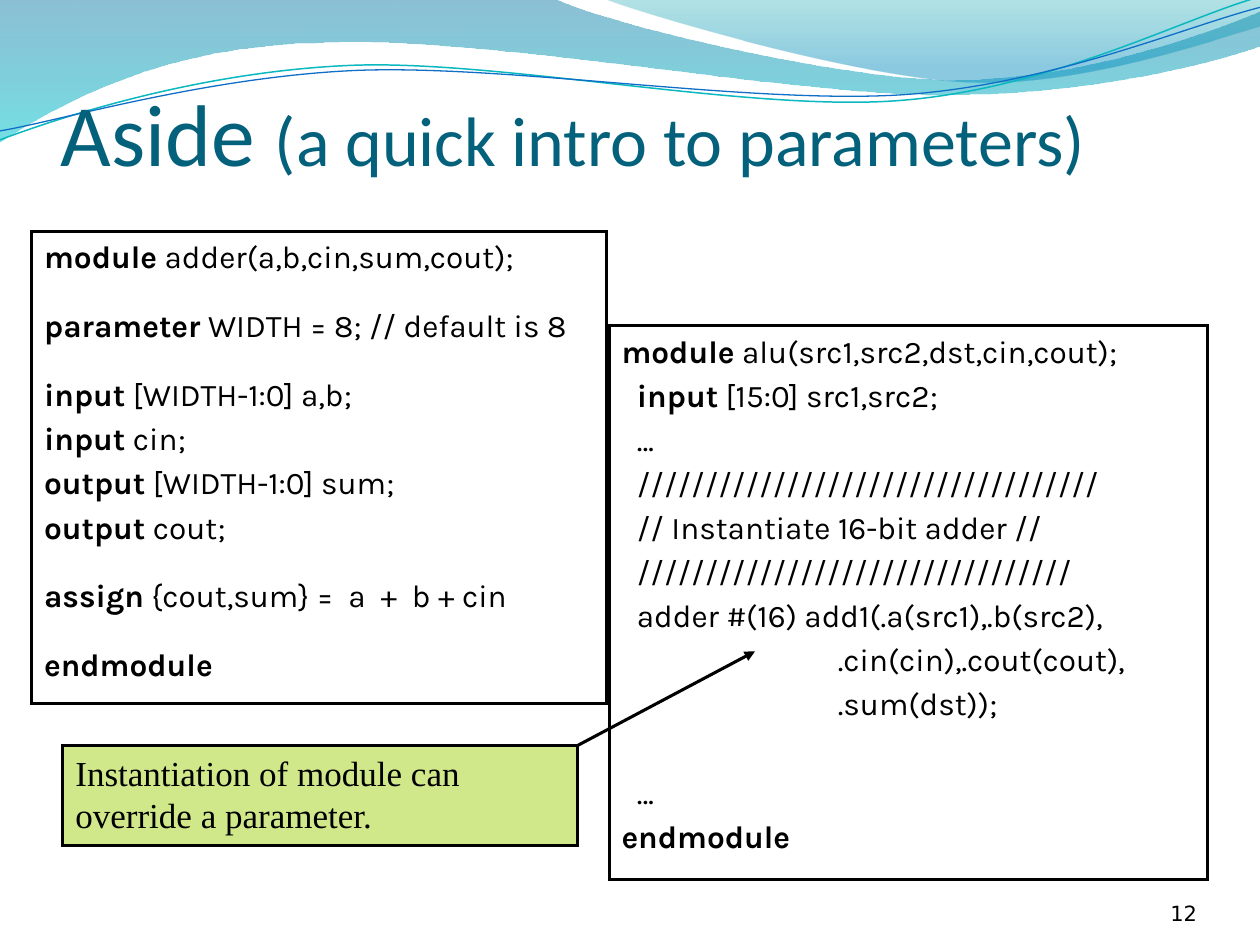
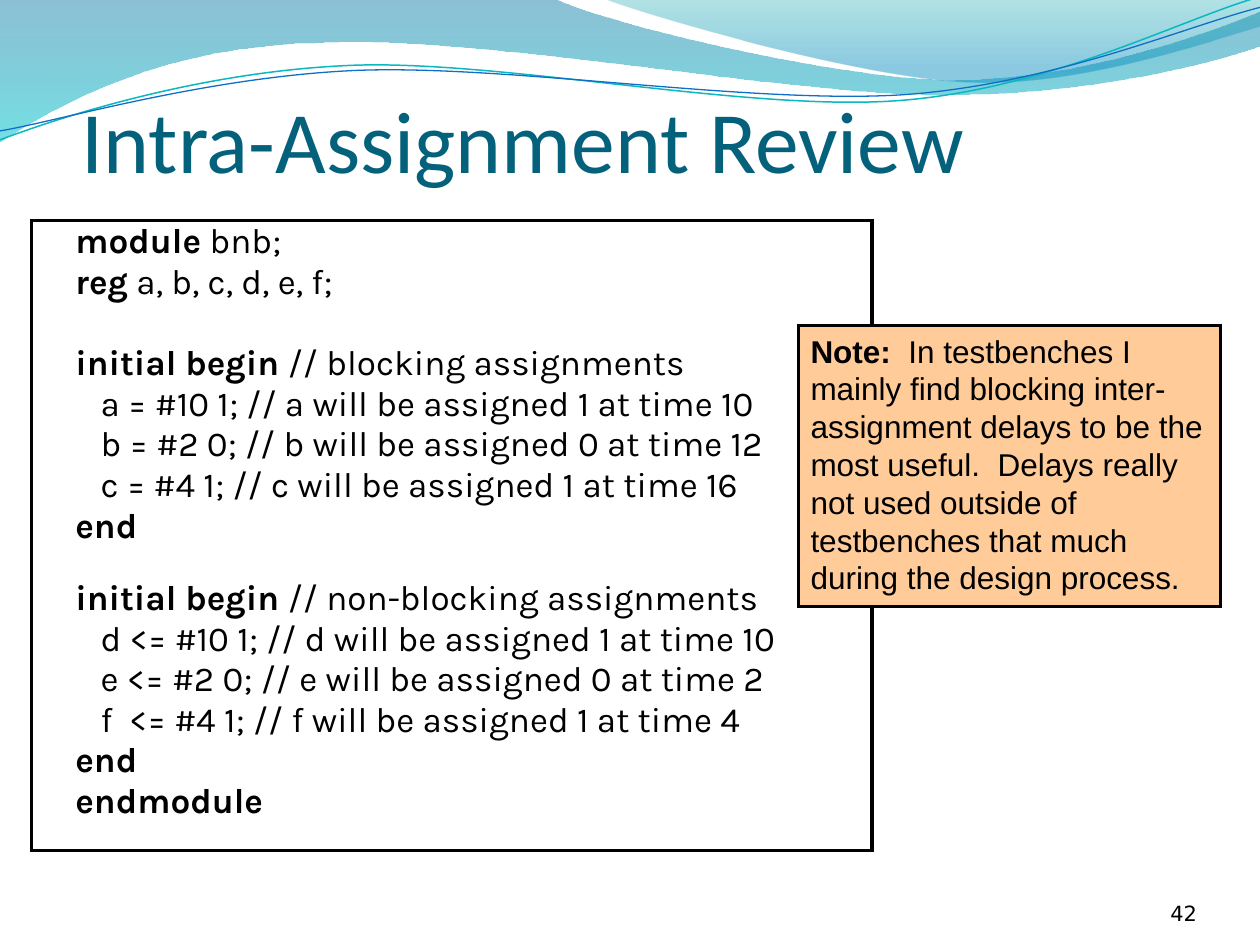
from dataclasses import dataclass

from lxml import etree
from pptx import Presentation
from pptx.dml.color import RGBColor
from pptx.enum.shapes import MSO_CONNECTOR, MSO_SHAPE
from pptx.enum.text import MSO_ANCHOR, PP_ALIGN
from pptx.oxml.ns import qn
from pptx.util import Cm, Pt

RECT, STRAIGHT = MSO_SHAPE.RECTANGLE, MSO_CONNECTOR.STRAIGHT
TOP, BOTTOM = MSO_ANCHOR.TOP, MSO_ANCHOR.BOTTOM
LEFT, RIGHT = PP_ALIGN.LEFT, PP_ALIGN.RIGHT

BLACK = RGBColor(0x00, 0x00, 0x00)
NAVY = RGBColor(0x04, 0x61, 0x7B)
LIME = RGBColor(0x99, 0xCC, 0x00)
PEACH = RGBColor(0xFF, 0xCC, 0x99)
TEAL = RGBColor(0x0A, 0xB8, 0xBF)
BLUE = RGBColor(0x0F, 0x6F, 0xC6)
DEEP = RGBColor(0x00, 0x74, 0xA1)
AQUA = RGBColor(0x00, 0xC6, 0xCF)
SEA = RGBColor(0x00, 0xA1, 0xA9)
SKY = RGBColor(0x00, 0x8B, 0xBF)

CODE = "Karla"
EDGE = 1.75  # border width in points


@dataclass
class Box:
    """A place on the slide, in centimetres."""
    x: float
    y: float
    w: float
    h: float

    def emu(self) -> tuple:
        return Cm(self.x), Cm(self.y), Cm(self.w), Cm(self.h)


@dataclass
class Row:
    """A paragraph: *...* is bold, indent in cm, gap in extra points above."""
    text: str
    indent: float = 0
    gap: float = 0


@dataclass
class Stop:
    color: RGBColor
    place: float
    alpha: int


@dataclass
class Wave:
    """An outline in cm: a leg of one point is straight, of three a curve."""
    start: tuple
    legs: list
    stops: tuple = ()
    color: RGBColor = BLACK
    width: float = 0


WAVES = [
    Wave((0, -0.03), [
        [(11.18, -0.03)],
        [(12.09, 0.43), (16.87, 1.6), (19.25, 1.6)],
        [(21.79, 1.6), (24.33, 0.66), (25.4, 0.23)],
        [(25.43, 0.91)],
        [(24.97, 1.12), (22.1, 1.93), (18.95, 1.91)],
        [(15.8, 1.91), (9.7, 0.71), (6.53, 0.86)],
        [(3.28, 0.89), (1.17, 2.11), (-0.03, 2.87)],
        [(0, -0.03)],
    ], stops=(Stop(DEEP, 0, 45), Stop(AQUA, 1, 55))),
    Wave((12.17, -0.03), [
        [(12.93, 0.28), (17.32, 1.57), (19.53, 1.65)],
        [(21.74, 1.75), (24.41, 0.81), (25.4, 0.53)],
        [(25.4, 0)],
        [(12.17, -0.03)],
    ], stops=(Stop(SEA, 0, 30), Stop(SKY, 0.8, 45))),
    Wave((0, 2.82), [
        [(1.22, 2.36), (4.01, 1.45), (7.04, 1.32)],
        [(10.03, 1.19), (15.06, 2.26), (18.11, 2.03)],
        [(21.16, 1.8), (23.83, 0.38), (25.35, -0.05)],
    ], color=TEAL, width=0.85),
    Wave((0, 2.64), [
        [(1.19, 2.44), (4.17, 1.55), (7.19, 1.42)],
        [(10.24, 1.3), (15.16, 2.11), (18.21, 1.91)],
        [(21.23, 1.7), (23.9, 0.53), (25.4, 0.15)],
    ], color=BLUE, width=0.75),
]


def fade(shape, *alphas: int) -> None:
    """Set the opacity, in percent, of the shape's colours in order."""
    for node, alpha in zip(shape.element.spPr.iter(qn("a:srgbClr")), alphas):
        etree.SubElement(node, qn("a:alpha")).set("val", str(alpha * 1000))


def bend(shape, legs: list) -> None:
    """Turn the straight segments of three-point legs into curves."""
    nodes = list(shape.element.spPr.iter(qn("a:lnTo")))
    for node, leg in zip(nodes, legs):
        if len(leg) == 1:
            continue
        arc = etree.Element(qn("a:cubicBezTo"))
        for x, y in leg:
            spot = etree.SubElement(arc, qn("a:pt"))
            spot.set("x", str(Cm(x) - shape.left))
            spot.set("y", str(Cm(y) - shape.top))
        node.getparent().replace(node, arc)


def draw_wave(slide, wave: Wave) -> None:
    pen = slide.shapes.build_freeform(Cm(wave.start[0]), Cm(wave.start[1]))
    ends = [leg[-1] for leg in wave.legs]
    pen.add_line_segments([(Cm(x), Cm(y)) for x, y in ends], close=bool(wave.stops))
    shape = pen.convert_to_shape()
    bend(shape, wave.legs)
    shape.shadow.inherit = False
    if wave.stops:
        shape.fill.gradient()
        shape.fill.gradient_angle = 270
        for spot, stop in zip(shape.fill.gradient_stops, wave.stops):
            spot.color.rgb = stop.color
            spot.position = stop.place
        fade(shape, *(stop.alpha for stop in wave.stops))
        shape.line.fill.background()
    else:
        shape.fill.background()
        shape.line.color.rgb = wave.color
        shape.line.width = Pt(wave.width)


def write(shape, rows: list, *, font: str, size: float, color=BLACK, above: float = 0,
          lead: float = 1, align=LEFT, anchor=TOP, inset=None, second=None) -> None:
    """Fill a shape with rows; marked parts are bold, or of the second size."""
    frame = shape.text_frame
    frame.word_wrap = True
    frame.vertical_anchor = anchor
    if inset is not None:
        frame.margin_left = frame.margin_right = frame.margin_bottom = 0
        frame.margin_top = Cm(inset)
    for i, row in enumerate(rows):
        para = frame.add_paragraph() if i else frame.paragraphs[0]
        para.alignment = align
        para.line_spacing = lead
        para.space_before = Pt(above + row.gap)
        if row.indent:
            para._p.get_or_add_pPr().set("marL", str(Cm(row.indent)))
        for j, part in enumerate(row.text.split("*")):
            if not part:
                continue
            run = para.add_run()
            run.text = part
            mark = j % 2 == 1
            run.font.name = font
            run.font.size = Pt(second if mark and second else size)
            run.font.bold = mark and not second
            run.font.color.rgb = color


def area(slide, box: Box):
    return slide.shapes.add_textbox(*box.emu())


def panel(slide, box: Box, fill=None):
    """A black, sharp-edged rectangle, empty or filled."""
    shape = slide.shapes.add_shape(RECT, *box.emu())
    shape.shadow.inherit = False
    if fill is None:
        shape.fill.background()
    else:
        shape.fill.solid()
        shape.fill.fore_color.rgb = fill
    shape.line.color.rgb = BLACK
    shape.line.width = Pt(EDGE)
    etree.SubElement(shape.line._get_or_add_ln(), qn("a:miter")).set("lim", "800000")
    return shape


def arrow(slide, x1: float, y1: float, x2: float, y2: float) -> None:
    link = slide.shapes.add_connector(STRAIGHT, Cm(x1), Cm(y1), Cm(x2), Cm(y2))
    link.line.color.rgb = BLACK
    link.line.width = Pt(EDGE)
    etree.SubElement(link.line._get_or_add_ln(), qn("a:tailEnd")).set("type", "triangle")
    etree.SubElement(link.element.spPr, qn("a:effectLst"))


def start(deck, title: str, x: float, y: float, page: int):
    """A new slide with waves, title and page number."""
    slide = deck.slides.add_slide(deck.slide_layouts[6])
    for wave in WAVES:
        draw_wave(slide, wave)
    write(area(slide, Box(x, y, 22.86, 3.18)), [Row(title)], font="Calibri", size=50,
          color=NAVY, anchor=BOTTOM, inset=0.13, second=40)
    write(area(slide, Box(22.02, 17.65, 2.11, 1.02)), [Row(str(page))],
          font="DejaVu Sans", size=12, align=RIGHT, anchor=BOTTOM, inset=0)
    return slide


deck = Presentation()
deck.slide_width, deck.slide_height = Cm(25.4), Cm(19.05)

# Slide 1: parameters
slide = start(deck, "Aside *(a quick intro to parameters)*", 1.22, 0.53, 12)
GAP = 14.2
write(panel(slide, Box(0.64, 4.66, 11.58, 9.53)), [
    Row("*module* adder(a,b,cin,sum,cout);"),
    Row("*parameter* WIDTH = 8; // default is 8", gap=GAP),
    Row("*input* [WIDTH-1:0] a,b;", gap=GAP),
    Row("*input* cin;"),
    Row("*output* [WIDTH-1:0] sum;"),
    Row("*output* cout;"),
    Row("*assign* {cout,sum} =  a  +  b + cin", gap=GAP),
    Row("*endmodule*", gap=GAP),
], font=CODE, size=18, above=3.6)

STEP, DEEPER = 0.31, 4.36
write(panel(slide, Box(12.28, 6.56, 12.07, 11.18)), [
    Row("*module* alu(src1,src2,dst,cin,cout);"),
    Row("*input* [15:0] src1,src2;", STEP),
    Row("…", STEP),
    Row("/" * 34, STEP),
    Row("// Instantiate 16-bit adder //", STEP),
    Row("/" * 32, STEP),
    Row("adder #(16) add1(.a(src1),.b(src2),", STEP),
    Row(".cin(cin),.cout(cout),", DEEPER),
    Row(".sum(dst));", DEEPER),
    Row("…", STEP, gap=25.2),
    Row("*endmodule*"),
], font=CODE, size=18, above=3.6)

note = panel(slide, Box(1.27, 15.03, 10.37, 2.01), LIME)
fade(note, 46)
write(note, [Row("Instantiation of module can override a parameter.")],
      font="Times New Roman", size=20, above=4)
arrow(slide, 11.64, 15.03, 15.22, 13.13)

# Slide 2: assignment delays
slide = start(deck, "Intra-Assignment Review", 1.65, 0.67, 42)
STEP = 0.51
write(area(slide, Box(1.27, 4.45, 16.51, 6.15)), [
    Row("*module* bnb;"),
    Row("*reg* a, b, c, d, e, f;"),
    Row("*initial begin* // blocking assignments", gap=23.2),
    Row("a = #10 1; // a will be assigned 1 at time 10", STEP),
    Row("b = #2 0; // b will be assigned 0 at time 12", STEP),
    Row("c = #4 1; // c will be assigned 1 at time 16", STEP),
    Row("*end*"),
], font=CODE, size=20, above=4, lead=0.8)
write(area(slide, Box(1.27, 11.64, 16.08, 5.51)), [
    Row("*initial begin* // non-blocking assignments"),
    Row("d <= #10 1; // d will be assigned 1 at time 10", STEP),
    Row("e <= #2 0; // e will be assigned 0 at time 2", STEP),
    Row("f  <= #4 1; // f will be assigned 1 at time 4", STEP),
    Row("*end*"),
    Row("*endmodule*"),
], font=CODE, size=20, above=4, lead=0.8)
panel(slide, Box(0.64, 4.45, 16.94, 12.7))
write(panel(slide, Box(16.09, 6.56, 8.52, 5.66), PEACH), [
    Row("*Note:*  In testbenches I mainly find blocking inter- assignment delays to be "
        "the most useful.  Delays really not used outside of testbenches that much "
        "during the design process."),
], font="Arial", size=18)

deck.save("out.pptx")
